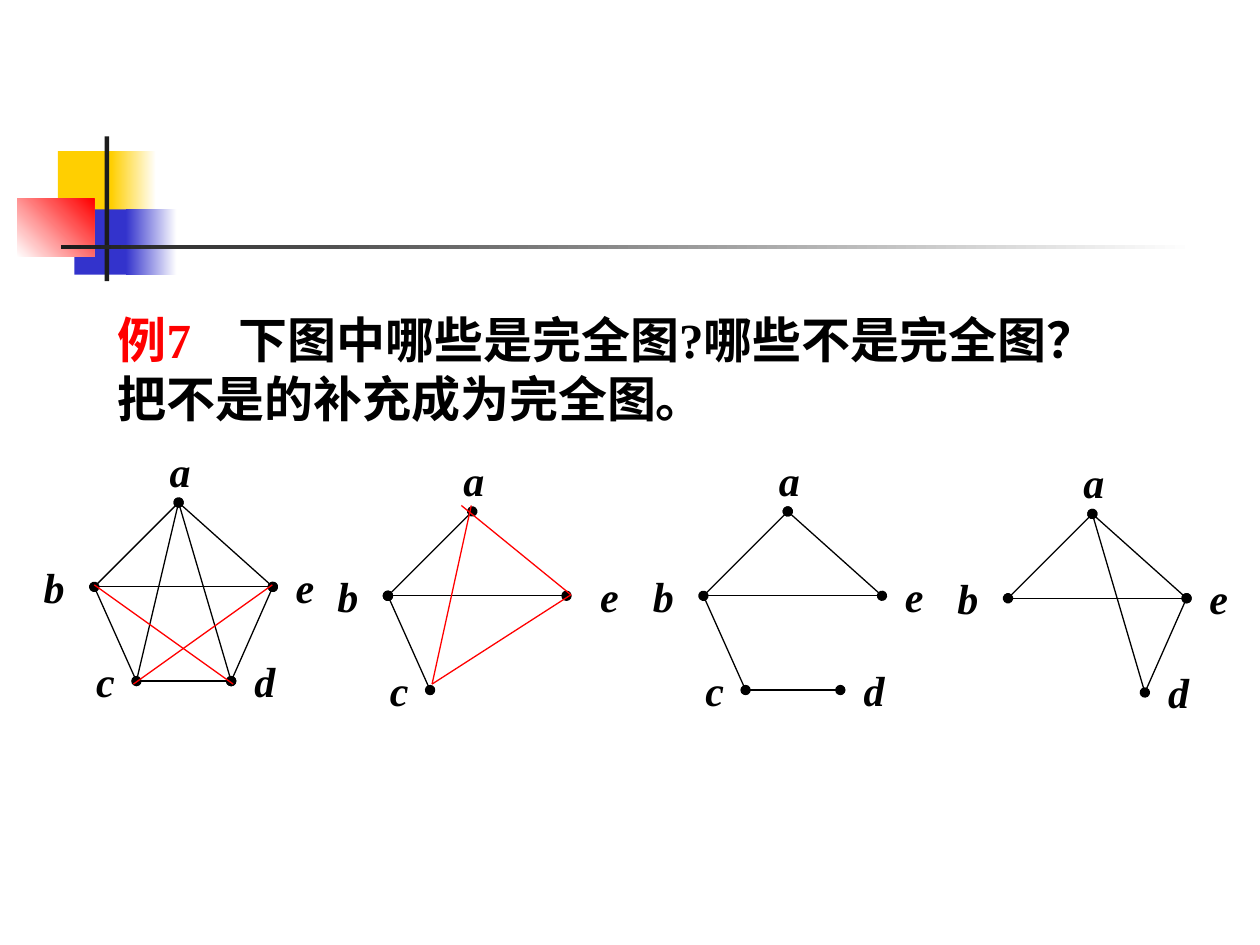
import dataclasses

import pptx
import pptx.dml.color
import pptx.enum.dml
import pptx.enum.shapes
import pptx.enum.text
import pptx.oxml.ns
import pptx.util
from lxml import etree

Cm = pptx.util.Cm
Pt = pptx.util.Pt
qn = pptx.oxml.ns.qn


@dataclasses.dataclass(frozen=True)
class Theme:
    font: str = "Times New Roman"
    ink: str = "000000"
    red: str = "FF0000"
    gold: str = "FFCF01"
    blue: str = "3333CC"
    dark: str = "1C1C1C"
    white: str = "FFFFFF"
    body: int = 28
    label: int = 24
    line: float = 0.75


# Vertex places relative to vertex a, and label corners relative to each vertex (cm)
NODES = {"a": (0, 0), "b": (-1.7, 1.7), "c": (-0.85, 3.6),
         "d": (1.06, 3.6), "e": (1.9, 1.7)}
TAGS = {"a": (-0.43, -1.28), "b": (-1.27, -0.64), "c": (-1.06, -0.64),
        "d": (0.22, -0.64), "e": (0.21, -0.64)}

# Place of vertex a, edges with dots, plain edges, extra shift of label e
GRAPHS = [
    (3.6, 10.13, "ab ae ed dc", "bc ac be ad", 0),
    (9.52, 10.31, "ab bc be", "", 0.22),
    (15.88, 10.31, "ab ae dc", "bc be", 0),
    (22.02, 10.36, "ab ae ed", "be ad", 0),
]

# Edges that complete the first two graphs
ADDED = [
    (2.69, 13.79, 5.49, 11.79),
    (4.7, 13.79, 1.9, 11.79),
    (8.71, 13.79, 9.5, 10.19),
    (8.71, 13.79, 11.51, 11.99),
    (11.51, 11.99, 9.3, 10.19),
]


class Page:
    def __init__(self, slide, theme):
        self.slide = slide
        self.theme = theme

    def rgb(self, code):
        return pptx.dml.color.RGBColor.from_string(code)

    def style(self, run, size, color, slant=False):
        run.font.name = self.theme.font
        run.font.size = Pt(size)
        run.font.bold = True
        run.font.italic = slant
        run.font.color.rgb = self.rgb(color)

    def block(self, left, top, width, height, *tones, angle=0):
        """Draw a rectangle: one tone is solid, two tones are a gradient."""
        shape = self.slide.shapes.add_shape(
            pptx.enum.shapes.MSO_SHAPE.RECTANGLE,
            Cm(left), Cm(top), Cm(width), Cm(height))
        shape.shadow.inherit = False
        shape.line.fill.background()
        if len(tones) == 1:
            shape.fill.solid()
            shape.fill.fore_color.rgb = self.rgb(tones[0])
            return
        shape.fill.gradient()
        shape.fill.gradient_angle = angle
        for stop, tone in zip(shape.fill.gradient_stops, tones):
            stop.color.rgb = self.rgb(tone)

    def edge(self, x1, y1, x2, y2, color, dots=False):
        line = self.slide.shapes.add_connector(
            pptx.enum.shapes.MSO_CONNECTOR.STRAIGHT,
            Cm(x1), Cm(y1), Cm(x2), Cm(y2))
        line.line.color.rgb = self.rgb(color)
        line.line.width = Pt(self.theme.line)
        props = line.element.spPr
        if dots:
            for end in ("a:headEnd", "a:tailEnd"):
                etree.SubElement(props.find(qn("a:ln")), qn(end), type="oval")
        etree.SubElement(props, qn("a:effectLst"))

    def label(self, left, top, text):
        box = self.slide.shapes.add_textbox(
            Cm(left), Cm(top), Cm(1.06), Cm(1.27))
        frame = box.text_frame
        frame.word_wrap = True
        frame.text = text
        self.style(frame.paragraphs[0].runs[0], self.theme.label,
                   self.theme.ink, slant=True)

    def title(self, left, top, width, height, parts, stop):
        """Fill the title with (text, color) parts and one tab stop."""
        shape = self.slide.shapes.title
        shape.left, shape.top = Cm(left), Cm(top)
        shape.width, shape.height = Cm(width), Cm(height)
        frame = shape.text_frame
        frame.word_wrap = True
        frame.auto_size = pptx.enum.text.MSO_AUTO_SIZE.NONE
        frame.vertical_anchor = pptx.enum.text.MSO_ANCHOR.TOP
        para = frame.paragraphs[0]
        para.alignment = pptx.enum.text.PP_ALIGN.LEFT
        tabs = etree.SubElement(para._p.get_or_add_pPr(), qn("a:tabLst"))
        etree.SubElement(tabs, qn("a:tab"), pos=str(Cm(stop)), algn="l")
        for text, color in parts:
            run = para.add_run()
            run.text = text
            self.style(run, self.theme.body, color)

    def graph(self, left, top, dotted, plain, shift):
        spots = {n: (left + x, top + y) for n, (x, y) in NODES.items()}
        for pairs, dots in ((dotted, True), (plain, False)):
            for start, end in pairs.split():
                self.edge(*spots[start], *spots[end], self.theme.ink, dots)
        for name, (x, y) in spots.items():
            if name in dotted:
                dx, dy = TAGS[name]
                extra = shift if name == "e" else 0
                self.label(x + dx + extra, y + dy, name)

    def motif(self):
        t = self.theme
        self.block(1.17, 3.05, 1.22, 1.32, t.gold)
        self.block(2.24, 3.05, 0.91, 1.32, t.gold, t.white)
        self.block(1.5, 4.22, 1.17, 1.32, t.blue)
        self.block(2.54, 4.22, 1.02, 1.32, t.blue, t.white)
        self.block(0.35, 4.01, 1.55, 1.17, t.white, t.red, angle=45)
        self.block(2.11, 2.75, 0.09, 2.92, t.dark)
        self.block(1.23, 4.94, 22.86, 0.09, t.dark, t.white)


def main():
    deck = pptx.Presentation()
    deck.slide_width, deck.slide_height = Cm(25.4), Cm(19.05)
    theme = Theme()
    page = Page(deck.slides.add_slide(deck.slide_layouts[5]), theme)
    page.motif()
    page.title(2.12, 6.12, 20.96, 2.64, [
        ("例7\t", theme.red),
        ("下图中哪些是完全图?哪些不是完全图？把不是的补充成为完全图。", theme.ink),
    ], stop=2.44)
    for graph in GRAPHS:
        page.graph(*graph)
    for ends in ADDED:
        page.edge(*ends, theme.red)
    deck.save("out.pptx")


if __name__ == "__main__":
    main()
